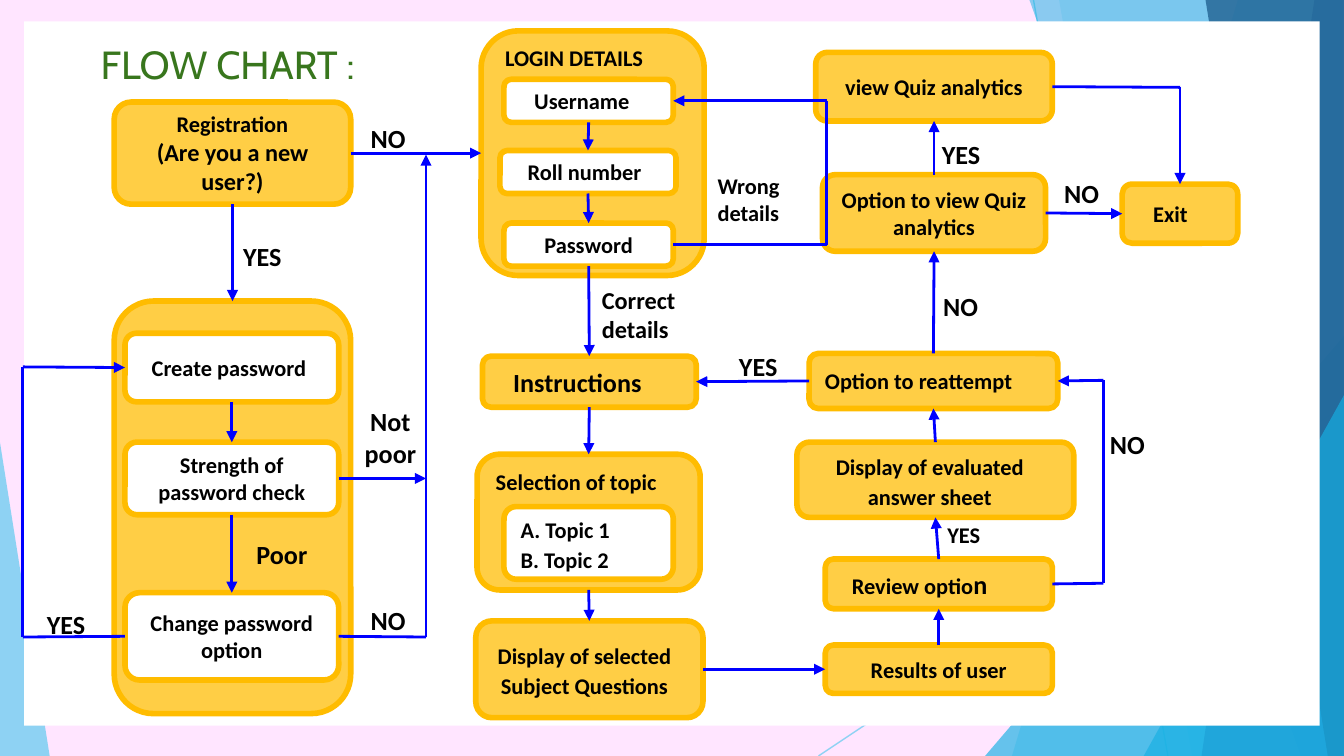
"""Build the flow chart slide of a quiz application."""
from lxml import etree
from pptx import Presentation
from pptx.dml.color import RGBColor
from pptx.enum.shapes import MSO_CONNECTOR, MSO_SHAPE
from pptx.enum.text import MSO_ANCHOR, PP_ALIGN
from pptx.oxml.ns import qn
from pptx.util import Inches, Pt

ROUND, RECT, TRI = MSO_SHAPE.ROUNDED_RECTANGLE, MSO_SHAPE.RECTANGLE, MSO_SHAPE.ISOSCELES_TRIANGLE
STRAIGHT = MSO_CONNECTOR.STRAIGHT
LEFT, MID = PP_ALIGN.LEFT, PP_ALIGN.CENTER
TOP, CENTER = MSO_ANCHOR.TOP, MSO_ANCHOR.MIDDLE
N, W, S, E = range(4)
WIDE = 10
HIGH = WIDE * 9 / 16

HUE = {"back": "FFE5FF", "white": "FFFFFF", "gold": "FFBC00", "blue": "0000FF", "ink": "000000",
       "title": "38761D", "sky": "5FCBEF", "aqua": "16B0E3", "steel": "2E83C3", "navy": "226292"}

RAYS = [((7.69, 0), (8.69, HIGH)), ((WIDE, 3.02), (6.09, HIGH))]
FACETS = [
    ("sky", 36, [(9.21, 0), (WIDE, 0), (WIDE, HIGH), (7.53, HIGH)]),
    ("sky", 20, [(7.88, 0), (WIDE, 0), (WIDE, HIGH), (8.87, HIGH)]),
    ("aqua", 66, (7.33, 2.5, 2.67, HIGH - 2.5), 1),
    ("aqua", 50, [(7.66, 0), (9.99, 0), (9.99, HIGH), (9.68, HIGH)]),
    ("steel", 70, [(9.78, 0), (WIDE, 0), (WIDE, HIGH), (8.94, HIGH)]),
    ("navy", 80, [(8.97, 0), (WIDE, 0), (WIDE, HIGH), (9.88, HIGH)]),
    ("aqua", 66, (8.51, 2.94, 1.49, HIGH - 2.94), 1),
    ("sky", 70, (0, 3.29, 0.37, HIGH - 3.29), 0),
]

BOXES = {
    "login": ("gold", (3.58, 0.23, 1.66, 1.82), [], {}),
    "user": ("white", (3.75, 0.59, 1.26, 0.32), [[("Username", 12)]], {"align": LEFT, "left": 0.21}),
    "roll": ("white", (3.72, 1.12, 1.31, 0.32), [[("Roll number", 12)]], {"align": LEFT, "left": 0.19}),
    "pass": ("white", (3.75, 1.66, 1.26, 0.32), [[("Password", 12)]], {}),
    "guide": ("gold", (3.59, 2.65, 1.59, 0.38), [[("Instructions", 14)]], {"align": LEFT, "left": 0.21}),
    "topic": ("gold", (3.55, 3.38, 1.66, 1.01), [], {}),
    "list": ("white", (3.75, 3.77, 1.26, 0.54), [[("A. Topic 1", 12)], [("B. Topic 2", 12)]],
             {"align": LEFT, "lead": 1.12}),
    "quiz": ("gold", (3.54, 4.62, 1.69, 0.72), [[("Display of selected Subject Questions", 12)]],
             {"right": 0.17, "lead": 1.12}),
    "score": ("gold", (6.14, 4.8, 1.69, 0.36), [[("Results of user", 12)]], {}),
    "review": ("gold", (6.14, 4.16, 1.69, 0.37), [[("Review optio", 12), ("n", 14)]],
               {"align": LEFT, "left": 0.18}),
    "sheet": ("gold", (5.93, 3.29, 2.06, 0.56), [[("Display of evaluated answer sheet", 12)]],
              {"right": 0.18, "lead": 1.12}),
    "retry": ("gold", (6.02, 2.63, 1.85, 0.41), [[("Option to reattempt", 12)]], {"align": LEFT}),
    "ask": ("gold", (6.12, 1.3, 1.66, 0.57), [[("Option to view Quiz analytics", 12)]], {}),
    "stats": ("gold", (6.07, 0.39, 1.76, 0.51), [[("view Quiz analytics", 12)]], {}),
    "exit": ("gold", (8.35, 1.37, 0.86, 0.44), [[("Exit", 12)]], {"align": LEFT, "left": 0.21}),
    "join": ("gold", (0.85, 0.76, 1.76, 0.76),
             [[("Registration", 12)], [("(Are you a new user?)", 13)]], {}),
    "setup": ("gold", (0.85, 2.24, 1.76, 3.07), [], {}),
    "make": ("white", (0.93, 2.48, 1.59, 0.51), [[("Create password", 12)]], {"right": 0.14}),
    "check": ("white", (0.93, 3.29, 1.59, 0.54), [[("Strength of password check", 12)]], {}),
    "change": ("white", (0.93, 4.41, 1.59, 0.65), [[("Change password option", 12)]], {}),
}

LINKS = [
    ("user", S, "roll", N), ("roll", S, "pass", N), ("pass", S, "guide", N), ("guide", S, "topic", N),
    ("topic", S, "quiz", N), ("quiz", E, "score", W), ("score", N, "review", S),
    ("review", N, "sheet", S), ("sheet", N, "retry", S), ("retry", W, "guide", E),
    ("retry", N, "ask", S), ("ask", N, "stats", S), ("ask", E, "exit", W), ("join", E, "login", W),
    ("join", S, "setup", N), ("make", S, "check", N), ("check", S, "change", N),
]
BENDS = [
    (("stats", E), 8.78, ("exit", N)),
    (("review", E), 8.21, ("retry", E)),
    (("change", W), 0.17, ("make", W)),
    (("pass", E), 6.15, ("user", E)),
    (("change", E), 3.17, (3.17, 1.15)),
    (("check", E), 3.17, (3.17, 3.56)),
]

LABELS = [
    ("LOGIN DETAILS", 12, (3.66, 0.23, 1.6, 0.44), LEFT),
    ("Selection of topic", 12, (3.59, 3.38, 1.59, 0.44), LEFT),
    ("YES", 14, (5.4, 2.51, 0.58, 0.44), LEFT),
    ("YES", 12, (6.95, 3.78, 0.76, 0.4), LEFT),
    ("NO", 14, (6.92, 2.06, 0.63, 0.44), LEFT),
    ("NO", 14, (8.16, 3.09, 0.76, 0.44), LEFT),
    ("YES", 14, (6.91, 0.93, 0.63, 0.44), LEFT),
    ("NO", 14, (7.82, 1.22, 0.63, 0.44), LEFT),
    ("NO", 14, (2.66, 0.81, 0.57, 0.44), LEFT),
    ("YES", 14, (1.71, 1.69, 0.58, 0.44), LEFT),
    ("Poor", 14, (1.81, 3.91, 0.63, 0.44), LEFT),
    ("NO", 14, (2.66, 4.4, 0.57, 0.44), LEFT),
    ("YES", 14, (0.25, 4.43, 0.63, 0.44), LEFT),
    ("Not poor", 14, (2.59, 2.92, 0.63, 0.67), MID),
    ("Wrong details", 12, (5.24, 1.18, 0.98, 0.61), LEFT),
    ("Correct details", 13, (4.38, 2.02, 0.98, 0.64), LEFT),
]


def tint(name):
    return RGBColor.from_string(HUE[name])


def fade(node, share):
    for clr in node.iter(qn("a:srgbClr")):
        etree.SubElement(clr, qn("a:alpha"), val=str(share * 1000))


def paint(shape, hue, share=100, edge=None):
    shape.shadow.inherit = False
    shape.fill.solid()
    shape.fill.fore_color.rgb = tint(hue)
    if share < 100:
        fade(shape._element.spPr, share)
    if edge:
        shape.line.color.rgb, shape.line.width = tint(edge), Pt(3)
    else:
        shape.line.fill.background()


def write(shape, paras, align=MID, anchor=CENTER, left=0.1, right=0.1, lead=None,
          face="Calibri", bold=True, hue="ink"):
    frame = shape.text_frame
    form = {"word_wrap": True, "vertical_anchor": anchor, "margin_left": Inches(left),
            "margin_right": Inches(right), "margin_top": Inches(0.1), "margin_bottom": Inches(0.1)}
    for key, value in form.items():
        setattr(frame, key, value)
    for i, runs in enumerate(paras):
        para = frame.add_paragraph() if i else frame.paragraphs[0]
        para.alignment, para.line_spacing = align, lead
        for text, size in runs:
            run = para.add_run()
            run.text = text
            for key, value in {"size": Pt(size), "name": face, "bold": bold}.items():
                setattr(run.font, key, value)
            run.font.color.rgb = tint(hue)


def stroke(shapes, start, end, hue, width, arrow=False):
    line = shapes.add_connector(STRAIGHT, *map(Inches, start + end))
    line.line.color.rgb, line.line.width = tint(hue), Pt(width)
    if arrow:
        etree.SubElement(line.line._get_or_add_ln(), qn("a:tailEnd"), type="triangle")
    etree.SubElement(line._element.spPr, qn("a:effectLst"))
    return line


def port(spot):
    if spot[0] not in BOXES:
        return spot
    x, y, w, h = BOXES[spot[0]][1]
    dx, dy = [(0.5, 0), (0, 0.5), (0.5, 1), (1, 0.5)][spot[1]]
    return round(x + w * dx, 2), round(y + h * dy, 2)


def route(shapes, made, start, lane, end):
    a, b = port(start), port(end)
    turns = [] if lane is None else [(lane, a[1]), (lane, b[1])]
    stops = [a] + [p for p in turns if abs(p[0] - b[0]) + abs(p[1] - b[1]) > 0.02] + [b]
    last = len(stops) - 2
    for i, (p, q) in enumerate(zip(stops, stops[1:])):
        line = stroke(shapes, p, q, "blue", 1.5, i == last)
        if i == 0:
            line.begin_connect(made[start[0]], start[1])
        if i == last and end[0] in made:
            line.end_connect(made[end[0]], end[1])


def facet(shapes, hue, share, form, tip=None):
    if tip is None:
        pen = shapes.build_freeform(*map(Inches, form[0]), scale=1.0)
        pen.add_line_segments([tuple(map(Inches, p)) for p in form[1:]], close=True)
        shape = pen.convert_to_shape()
    else:
        shape = shapes.add_shape(TRI, *map(Inches, form))
        shape.adjustments[0] = tip
    paint(shape, hue, share)


def main():
    deck = Presentation()
    deck.slide_width, deck.slide_height = Inches(WIDE), Inches(HIGH)
    slide = deck.slides.add_slide(deck.slide_layouts[6])
    slide.background.fill.solid()
    slide.background.fill.fore_color.rgb = tint("back")
    shapes = slide.shapes
    for start, end in RAYS:
        fade(stroke(shapes, start, end, "sky", 0.75)._element.spPr, 70)
    for item in FACETS:
        facet(shapes, *item)
    paint(shapes.add_shape(RECT, *map(Inches, (0.18, 0.16, 9.64, 5.24))), "white")
    made = {}
    for name, (hue, area, paras, form) in BOXES.items():
        made[name] = shapes.add_shape(ROUND, *map(Inches, area))
        paint(made[name], hue, 73 if hue == "gold" else 100, "gold")
        write(made[name], paras, **form)
    for head, out, tail, into in LINKS:
        route(shapes, made, (head, out), None, (tail, into))
    for bend in BENDS:
        route(shapes, made, *bend)
    for text, size, area, align in LABELS:
        write(shapes.add_textbox(*map(Inches, area)), [[(text, size)]], align, TOP)
    title = shapes.add_shape(RECT, *map(Inches, (0.65, 0.2, 2.43, 0.53)))
    paint(title, "white")
    write(title, [[("FLOW CHART :", 21)]], LEFT, TOP, face="Cabin", bold=False, hue="title")
    deck.save("out.pptx")


if __name__ == "__main__":
    main()
